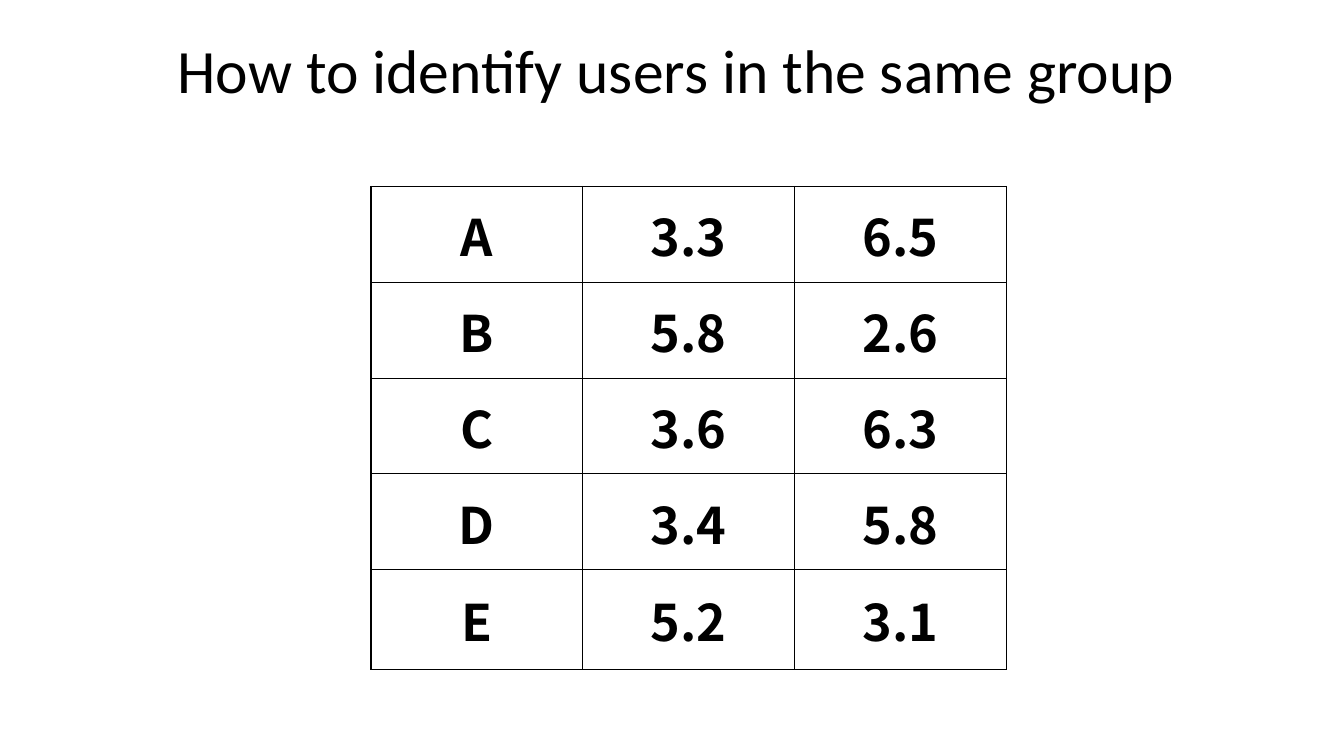
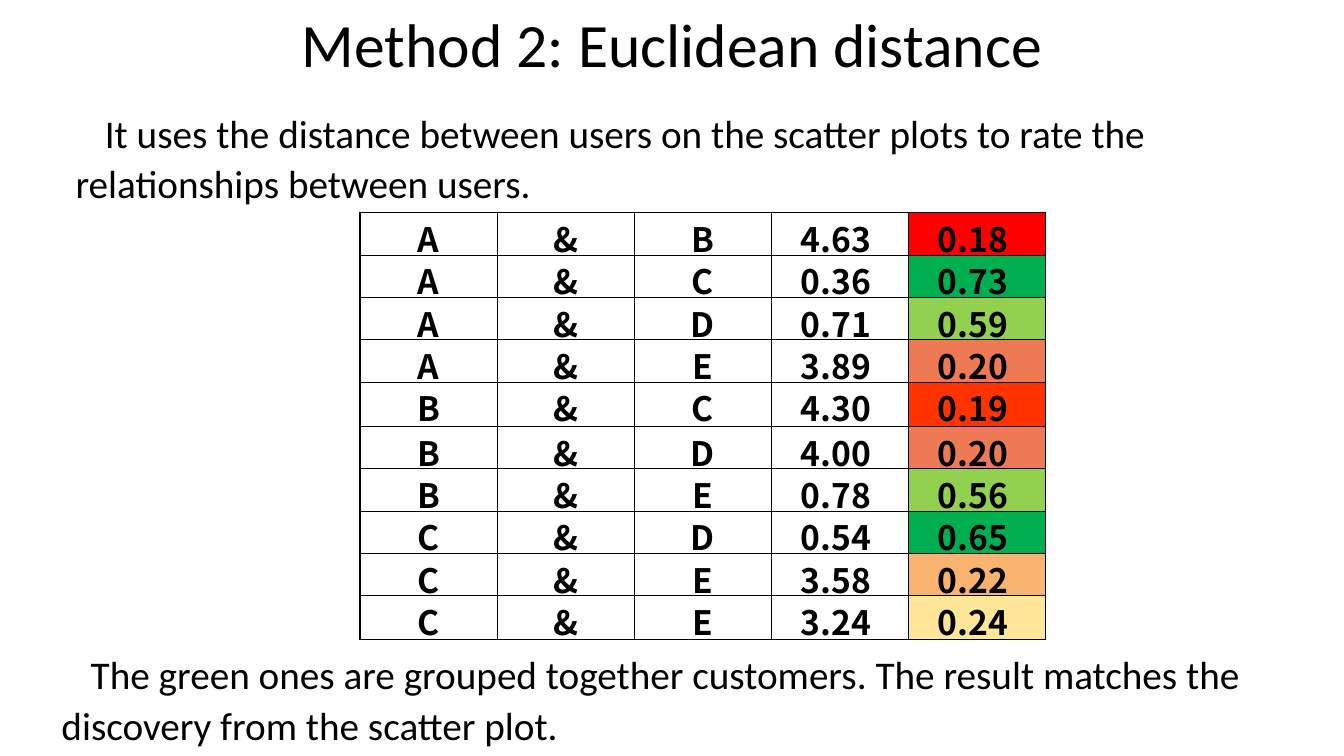
import dataclasses

import pptx
import pptx.dml.color
import pptx.enum.text
import pptx.oxml
import pptx.oxml.ns
import pptx.util
from pptx.util import Inches

ANCHOR = pptx.enum.text.MSO_ANCHOR
ALIGN = pptx.enum.text.PP_ALIGN
NS = pptx.oxml.ns.nsdecls("a")


@dataclasses.dataclass(frozen=True)
class Theme:
    text_font: str = "Calibri"
    table_font: str = "Noto Sans CJK SC"
    ink: str = "000000"
    title_size: float = 44
    body_size: float = 28
    ratings_size: float = 36
    scores_size: float = 24
    outer_border: float = 1
    inner_border: float = 0.5
    # Highest score of each band, with its colour
    score_bands: tuple = (
        (0.18, "FF0000"), (0.19, "FF3300"), (0.20, "ED7955"), (0.22, "F8B36E"),
        (0.24, "FFE699"), (0.59, "92D050"), (0.73, "00B050"),
    )


THEME = Theme()

RATINGS = [("A", "3.3", "6.5"), ("B", "5.8", "2.6"), ("C", "3.6", "6.3"),
           ("D", "3.4", "5.8"), ("E", "5.2", "3.1")]

DISTANCES = [("A", "B", 4.63, 0.18), ("A", "C", 0.36, 0.73), ("A", "D", 0.71, 0.59),
             ("A", "E", 3.89, 0.20), ("B", "C", 4.30, 0.19), ("B", "D", 4.00, 0.20),
             ("B", "E", 0.78, 0.56), ("C", "D", 0.54, 0.65), ("C", "E", 3.58, 0.22),
             ("C", "E", 3.24, 0.24)]


def apply(target, formats):
    for attribute, value in formats.items():
        setattr(target, attribute, value)


def place(shape, left, top, width, height):
    apply(shape, {"left": Inches(left), "top": Inches(top),
                  "width": Inches(width), "height": Inches(height)})


def write(frame, text, font, size, bold=False, **paragraph_format):
    frame.text = text
    paragraph = frame.paragraphs[0]
    apply(paragraph, paragraph_format)
    run_font = paragraph.runs[0].font
    apply(run_font, {"name": font, "size": pptx.util.Pt(size), "bold": bold})
    run_font.color.rgb = pptx.dml.color.RGBColor.from_string(THEME.ink)


def set_title(slide, text, left, top, anchor):
    title = slide.shapes.title
    place(title, left, top, 11.5, 1.45)
    write(title.text_frame, text, THEME.text_font, THEME.title_size,
          alignment=ALIGN.CENTER, line_spacing=0.9)
    title.text_frame.vertical_anchor = anchor


def set_body(placeholder, text, left, top, width):
    """Fill a body placeholder with an unbulleted paragraph, first line indented."""
    place(placeholder, left, top, width, 1.09)
    frame = placeholder.text_frame
    write(frame, text, THEME.text_font, THEME.body_size, line_spacing=1.07,
          space_before=pptx.util.Pt(0), space_after=pptx.util.Pt(8))
    apply(frame, {"word_wrap": True,
                  "auto_size": pptx.enum.text.MSO_AUTO_SIZE.SHAPE_TO_FIT_TEXT})
    properties = frame.paragraphs[0]._p.get_or_add_pPr()
    properties.set("marL", str(Inches(0.25)))
    properties.set("indent", str(Inches(0.29)))
    properties.append(pptx.oxml.parse_xml(f"<a:buNone {NS}/>"))


def set_borders(cell, outer_sides):
    for side in "LRTB":
        points = THEME.outer_border if side in outer_sides else THEME.inner_border
        cell._tc.get_or_add_tcPr().append(pptx.oxml.parse_xml(
            f'<a:ln{side} {NS} w="{pptx.util.Pt(points)}"><a:solidFill>'
            f'<a:srgbClr val="{THEME.ink}"/></a:solidFill></a:ln{side}>'))


def add_grid(slide, rows, left, top, column_width, row_heights, size, fill_of=None,
             **paragraph_format):
    """Add a bordered table; fill_of(row, column) gives a cell's colour or None."""
    row_count, column_count = len(rows), len(rows[0])
    grid = slide.shapes.add_table(
        row_count, column_count, Inches(left), Inches(top),
        Inches(column_width * column_count), Inches(sum(row_heights))).table
    apply(grid, {"first_row": False, "horz_banding": False})
    for column in grid.columns:
        column.width = Inches(column_width)
    for r, (values, height) in enumerate(zip(rows, row_heights)):
        grid.rows[r].height = Inches(height)
        for c, value in enumerate(values):
            cell = grid.cell(r, c)
            apply(cell, {"margin_left": Inches(0.01), "margin_right": Inches(0.01),
                         "margin_top": Inches(0.01), "margin_bottom": 0,
                         "vertical_anchor": ANCHOR.MIDDLE})
            write(cell.text_frame, value, THEME.table_font, size, bold=True,
                  alignment=ALIGN.CENTER, **paragraph_format)
            edges = {"L": c == 0, "R": c == column_count - 1,
                     "T": r == 0, "B": r == row_count - 1}
            set_borders(cell, [side for side, is_outer in edges.items() if is_outer])
            colour = fill_of(r, c) if fill_of else None
            if colour:
                cell.fill.solid()
                cell.fill.fore_color.rgb = pptx.dml.color.RGBColor.from_string(colour)
            else:
                cell.fill.background()


def score_colour(row, column):
    if column < 4:
        return None
    score = DISTANCES[row][-1]
    return next(colour for highest, colour in THEME.score_bands if score <= highest)


def build_ratings(deck):
    slide = deck.slides.add_slide(deck.slide_layouts.get_by_name("Title Only"))
    set_title(slide, "How to identify users in the same group", 0.96, 0, ANCHOR.MIDDLE)
    add_grid(slide, RATINGS, 3.68, 1.85, 2.1, [0.95] * 4 + [0.99], THEME.ratings_size)


def build_distances(deck):
    slide = deck.slides.add_slide(deck.slide_layouts.get_by_name("Two Content"))
    set_title(slide, "Method 2: Euclidean distance", 0.92, 0.09, ANCHOR.TOP)
    explanation, conclusion = list(slide.placeholders)[1:3]
    set_body(explanation, "It uses the distance between users on the scatter plots to "
             "rate the relationships between users.", 0.4, 1, 12.43)
    set_body(conclusion, "The green ones are grouped together customers. The result "
             "matches the discovery from the scatter plot.", 0.26, 6.37, 12.71)
    rows = [(first, "&", second, f"{distance:.2f} ", f"{score:.2f} ")
            for first, second, distance, score in DISTANCES]
    add_grid(slide, rows, 3.57, 2.11, 1.36, ([0.42] * 4 + [0.44]) * 2,
             THEME.scores_size, score_colour)


def main():
    deck = pptx.Presentation()
    apply(deck, {"slide_width": Inches(13.33), "slide_height": Inches(7.5)})
    build_ratings(deck)
    build_distances(deck)
    deck.save("out.pptx")


if __name__ == "__main__":
    main()
